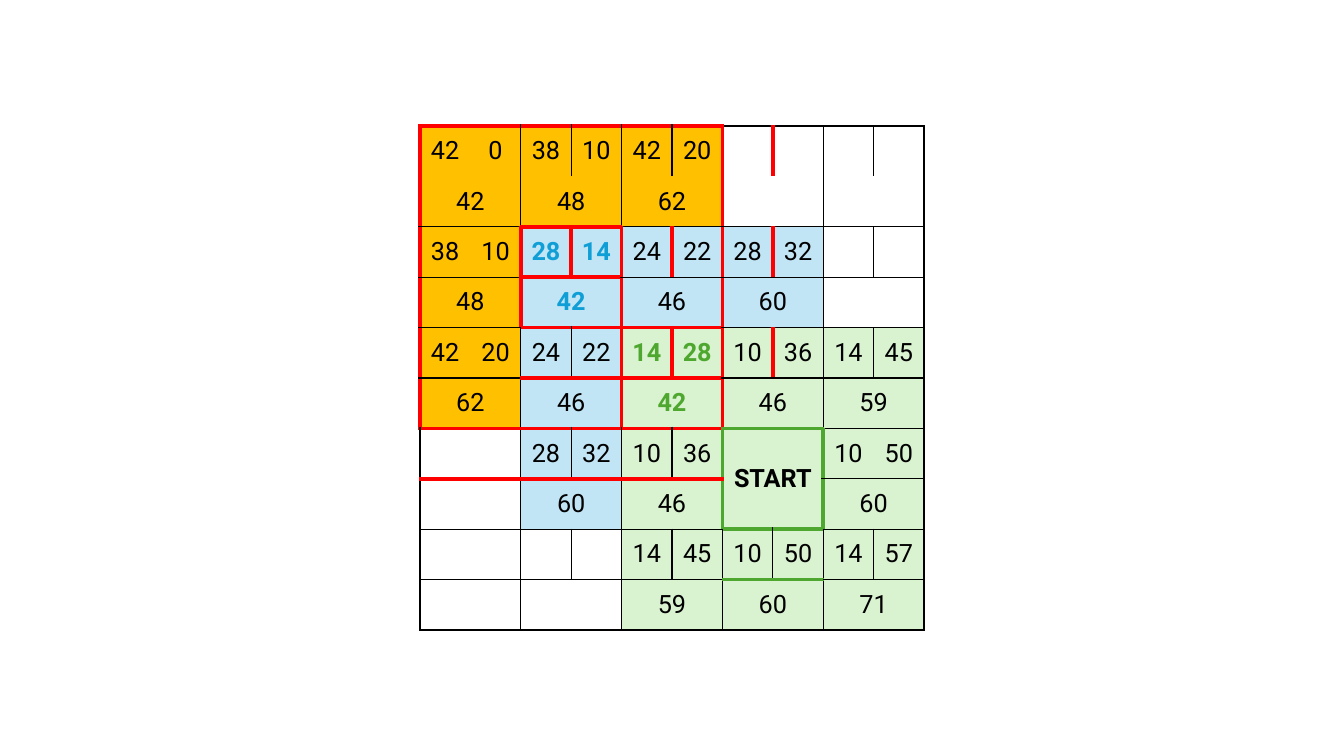
from lxml.etree import SubElement
from pptx import Presentation
from pptx.dml.color import RGBColor
from pptx.enum.text import MSO_ANCHOR as Anchor, PP_ALIGN as Align
from pptx.oxml.ns import qn
from pptx.util import Inches, Pt

COLORS = {
    "black": "000000", "red": "FF0000", "green": "4EA72E", "blue": "0F9ED5",
    "target_zone": "FFC000", "middle_zone": "C1E5F5", "start_zone": "D9F2D0",
}
NO_GRID_STYLE = "{2D5ABB26-0587-4C30-8999-92F81FD0307C}"
SLIDE_WIDTH, SLIDE_HEIGHT = 13.33, 7.5
TILES = 5
BOARD_SIZE = SLIDE_HEIGHT * 2 / 3
BOARD_BOX = ((SLIDE_WIDTH - BOARD_SIZE) / 2, (SLIDE_HEIGHT - BOARD_SIZE) / 2, BOARD_SIZE)
START = (3, 3)

COSTS = [
    [(42, 0), (38, 10), (42, 20), None, None],
    [(38, 10), (28, 14), (24, 22), (28, 32), None],
    [(42, 20), (24, 22), (14, 28), (10, 36), (14, 45)],
    [None, (28, 32), (10, 36), None, (10, 50)],
    [None, None, (14, 45), (10, 50), (14, 57)],
]
ZONES = ["TTT--", "TMMM-", "TMSSS", "-MSSS", "--SSS"]
ZONE_FILLS = {"T": "target_zone", "M": "middle_zone", "S": "start_zone"}
PATH_COLORS = {(1, 1): "blue", (2, 2): "green"}
OUTLINES = [
    (0, 0, 3, "red"), (1, 1, 1, "red"), (2, 2, 1, "red"), (*START, 1, "green"),
]


def tile_edges(row, col):
    """Return the grid edge on each side of a tile, in XML order."""
    return {"L": ("v", row, col), "R": ("v", row, col + 1),
            "T": ("h", row, col), "B": ("h", row + 1, col)}


def outline_lines():
    """Map every highlighted grid edge to its colour."""
    lines = {}
    for top, left, size, color in OUTLINES:
        for step in range(size):
            lines[tile_edges(top + step, left)["L"]] = color
            lines[tile_edges(top + step, left + size - 1)["R"]] = color
            lines[tile_edges(top, left + step)["T"]] = color
            lines[tile_edges(top + size - 1, left + step)["B"]] = color
    return lines


def draw_border(cell, side, color, width):
    """Add one solid border to a cell."""
    line = SubElement(cell._tc.get_or_add_tcPr(), qn(f"a:ln{side}"), w=str(Pt(width)))
    fill = SubElement(line, qn("a:solidFill"))
    SubElement(fill, qn("a:srgbClr"), val=COLORS[color])


def write_text(cell, text, color="black", bold=False, size=18):
    """Write centred text in a cell."""
    cell.vertical_anchor = Anchor.MIDDLE
    paragraph = cell.text_frame.paragraphs[0]
    paragraph.alignment = Align.CENTER
    run = paragraph.add_run()
    run.text = str(text)
    run.font.name, run.font.size, run.font.bold = "Roboto", Pt(size), bold
    run.font.color.rgb = RGBColor.from_string(COLORS[color])


def add_tile(board, row, col, lines):
    """Fill one tile: two costs above their sum, or the start label."""
    corners = [[board.cell(2 * row + y, 2 * col + x) for x in (0, 1)] for y in (0, 1)]
    (left_cost, right_cost), (total, total_end) = corners
    costs = COSTS[row][col]
    if (row, col) == START:
        left_cost.merge(total_end)
        parts = [(left_cost, "LRTB", "START")]
    else:
        total.merge(total_end)
        texts = (*costs, sum(costs)) if costs else (None,) * 3
        parts = zip((left_cost, right_cost, total), ("LT", "RT", "LRB"), texts)

    edges = tile_edges(row, col)
    zone = ZONES[row][col]
    for cell, sides, text in parts:
        for side in sides:
            color = lines.get(edges[side])
            draw_border(cell, side, color or "black", 3 if color else 1)
        if zone in ZONE_FILLS:
            cell.fill.solid()
            cell.fill.fore_color.rgb = RGBColor.from_string(COLORS[ZONE_FILLS[zone]])
        else:
            cell.fill.background()
        if text is not None:
            write_text(cell, text, color=PATH_COLORS.get((row, col), "black"),
                       bold=(row, col) in PATH_COLORS or (row, col) == START)


def add_board(slide, left, top, size):
    """Place the search board as a square table of tiles."""
    frame = slide.shapes.add_table(2 * TILES, 2 * TILES, Inches(left), Inches(top),
                                   Inches(size), Inches(size))
    board = frame.table
    board.first_row = board.horz_banding = False
    next(frame._element.iter(qn("a:tableStyleId"))).text = NO_GRID_STYLE
    lines = outline_lines()
    for row in range(TILES):
        for col in range(TILES):
            add_tile(board, row, col, lines)


def main():
    """Build and save the slide."""
    deck = Presentation()
    deck.slide_width, deck.slide_height = Inches(SLIDE_WIDTH), Inches(SLIDE_HEIGHT)
    slide = deck.slides.add_slide(deck.slide_layouts[6])
    add_board(slide, *BOARD_BOX)
    deck.save("out.pptx")


if __name__ == "__main__":
    main()
